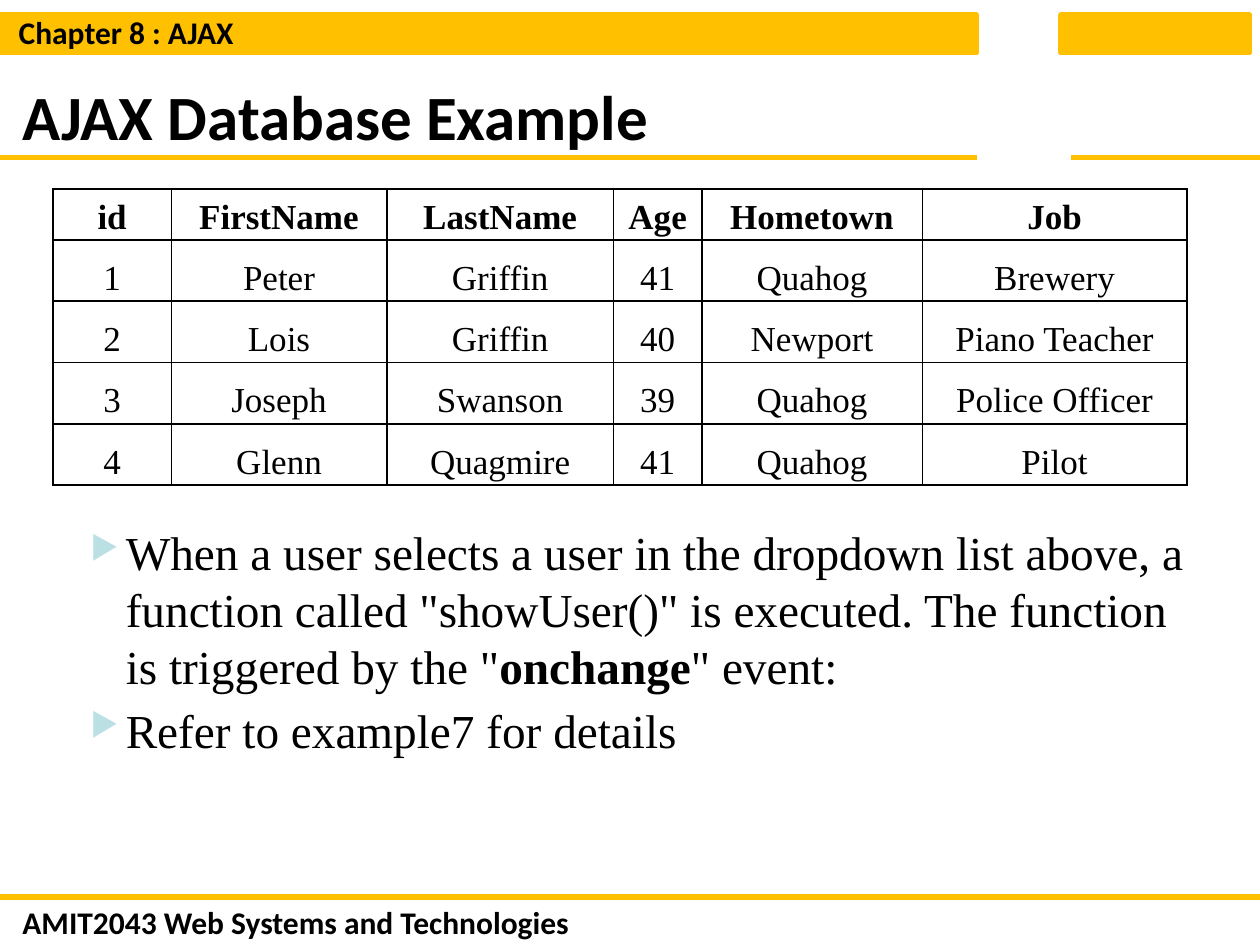
from dataclasses import dataclass

from lxml.etree import SubElement
from pptx import Presentation
from pptx.dml.color import RGBColor
from pptx.enum.shapes import MSO_CONNECTOR, MSO_SHAPE
from pptx.enum.text import MSO_ANCHOR, PP_ALIGN
from pptx.oxml.ns import qn
from pptx.util import Inches, Pt

GOLD = RGBColor(0xFF, 0xC0, 0x00)
BLACK = RGBColor(0x00, 0x00, 0x00)
WHITE = RGBColor(0xFF, 0xFF, 0xFF)
PALE_BLUE = RGBColor(0xBB, 0xE0, 0xE3)
HEADING_FONT = "Calibri"
BODY_FONT = "Times New Roman"


@dataclass(frozen=True)
class Bar:
    left: float
    width: float


@dataclass(frozen=True)
class Rule:
    start: float
    end: float
    top: float


@dataclass(frozen=True)
class Heading:
    text: str
    left: float
    top: float
    width: float
    height: float
    size: int


@dataclass(frozen=True)
class Span:
    text: str
    bold: bool = False


BARS = [Bar(0, 7.75), Bar(8.42, 1.5)]
RULES = [Rule(0, 7.75, 1.25), Rule(8.5, 10, 1.25), Rule(0, 10, 7.12)]
HEADINGS = [
    Heading("Chapter 8 : AJAX", 0.05, 0.05, 6.08, 0.4, 18),
    Heading("AMIT2043 Web Systems and Technologies", 0.08, 7.12, 9.83, 0.4, 18),
    Heading("AJAX Database Example", 0.08, 0.58, 9.83, 0.67, 36),
]
COLUMN_WIDTHS = [0.94, 1.71, 1.8, 0.7, 1.75, 2.1]
USERS = [
    ["id", "FirstName", "LastName", "Age", "Hometown", "Job"],
    ["1", "Peter", "Griffin", "41", "Quahog", "Brewery"],
    ["2", "Lois", "Griffin", "40", "Newport", "Piano Teacher"],
    ["3", "Joseph", "Swanson", "39", "Quahog", "Police Officer"],
    ["4", "Glenn", "Quagmire", "41", "Quahog", "Pilot"],
]
BULLETS = [
    [
        Span('When a user selects a user in the dropdown list above, a function '
             'called "showUser()" is executed. The function is triggered by the "'),
        Span("onchange", True),
        Span('" event:'),
    ],
    [Span("Refer to example7 for details")],
]


def set_font(font, name: str, size: int, bold: bool | None = None) -> None:
    font.name = name
    font.size = Pt(size)
    font.bold = bold
    font.color.rgb = BLACK


def draw_bar(page, bar: Bar) -> None:
    box = page.shapes.add_shape(MSO_SHAPE.RECTANGLE, Inches(bar.left), Inches(0.12),
                                Inches(bar.width), Inches(0.3))
    box.shadow.inherit = False
    box.fill.solid()
    box.fill.fore_color.rgb = GOLD
    box.line.color.rgb = GOLD
    box.line.width = Pt(3)


def draw_rule(page, rule: Rule) -> None:
    line = page.shapes.add_connector(MSO_CONNECTOR.STRAIGHT, Inches(rule.start),
                                     Inches(rule.top), Inches(rule.end), Inches(rule.top))
    line.line.color.rgb = GOLD
    line.line.width = Pt(3)
    SubElement(line._element.spPr, qn("a:effectLst"))


def draw_heading(page, heading: Heading) -> None:
    box = page.shapes.add_textbox(Inches(heading.left), Inches(heading.top),
                                  Inches(heading.width), Inches(heading.height))
    frame = box.text_frame
    frame.word_wrap = True
    frame.vertical_anchor = MSO_ANCHOR.MIDDLE
    para = frame.paragraphs[0]
    para.text = heading.text
    set_font(para.font, HEADING_FONT, heading.size, True)


def add_borders(cell) -> None:
    properties = cell._tc.get_or_add_tcPr()
    for position, side in enumerate(("lnL", "lnR", "lnT", "lnB")):
        border = SubElement(properties, qn(f"a:{side}"), w=str(Pt(1)))
        fill = SubElement(border, qn("a:solidFill"))
        SubElement(fill, qn("a:srgbClr"), val=str(BLACK))
        properties.insert(position, border)


def fill_cell(cell, text: str, header: bool) -> None:
    cell.fill.background()
    cell.vertical_anchor = MSO_ANCHOR.MIDDLE
    cell.margin_left = cell.margin_right = Inches(0.01)
    cell.margin_top = cell.margin_bottom = Inches(0.01)
    add_borders(cell)
    para = cell.text_frame.paragraphs[0]
    para.text = text
    para.alignment = PP_ALIGN.CENTER
    para.line_spacing = 1.15 if header else 1.4
    set_font(para.font, BODY_FONT, 20, header)


def draw_table(page, rows: list[list[str]]) -> None:
    table = page.shapes.add_table(len(rows), len(COLUMN_WIDTHS), Inches(0.42), Inches(1.5),
                                  Inches(9), Inches(2.08)).table
    table.horz_banding = False
    for column, width in zip(table.columns, COLUMN_WIDTHS):
        column.width = Inches(width)
    for index, texts in enumerate(rows):
        table.rows[index].height = Inches(0.36 if index == 0 else 0.43)
        for cell, text in zip(table.rows[index].cells, texts):
            fill_cell(cell, text, index == 0)


def add_bullet(para) -> None:
    properties = para._p.get_or_add_pPr()
    properties.set("marL", str(Inches(0.4)))
    properties.set("indent", str(Inches(-0.28)))
    color = SubElement(properties, qn("a:buClr"))
    SubElement(color, qn("a:srgbClr"), val=str(PALE_BLUE))
    SubElement(properties, qn("a:buSzPct"), val="68000")
    SubElement(properties, qn("a:buChar"), char="▶")


def draw_bullets(page, bullets: list[list[Span]]) -> None:
    box = page.shapes.add_shape(MSO_SHAPE.RECTANGLE, Inches(0.5), Inches(4.33),
                                Inches(9), Inches(2))
    box.shadow.inherit = False
    box.fill.solid()
    box.fill.fore_color.rgb = WHITE
    box.line.fill.background()
    frame = box.text_frame
    frame.word_wrap = True
    frame.vertical_anchor = MSO_ANCHOR.MIDDLE
    frame.margin_bottom = Inches(0.54)
    for index, spans in enumerate(bullets):
        para = frame.add_paragraph() if index else frame.paragraphs[0]
        para.alignment = PP_ALIGN.LEFT
        para.space_before = Pt(4)
        add_bullet(para)
        set_font(para.font, BODY_FONT, 27)
        for span in spans:
            run = para.add_run()
            run.text = span.text
            run.font.bold = span.bold


def main() -> None:
    deck = Presentation()
    deck.slide_width = Inches(10)
    deck.slide_height = Inches(7.5)
    page = deck.slides.add_slide(deck.slide_layouts[6])
    for bar in BARS:
        draw_bar(page, bar)
    for rule in RULES:
        draw_rule(page, rule)
    for heading in HEADINGS:
        draw_heading(page, heading)
    draw_table(page, USERS)
    draw_bullets(page, BULLETS)
    deck.save("out.pptx")


if __name__ == "__main__":
    main()
